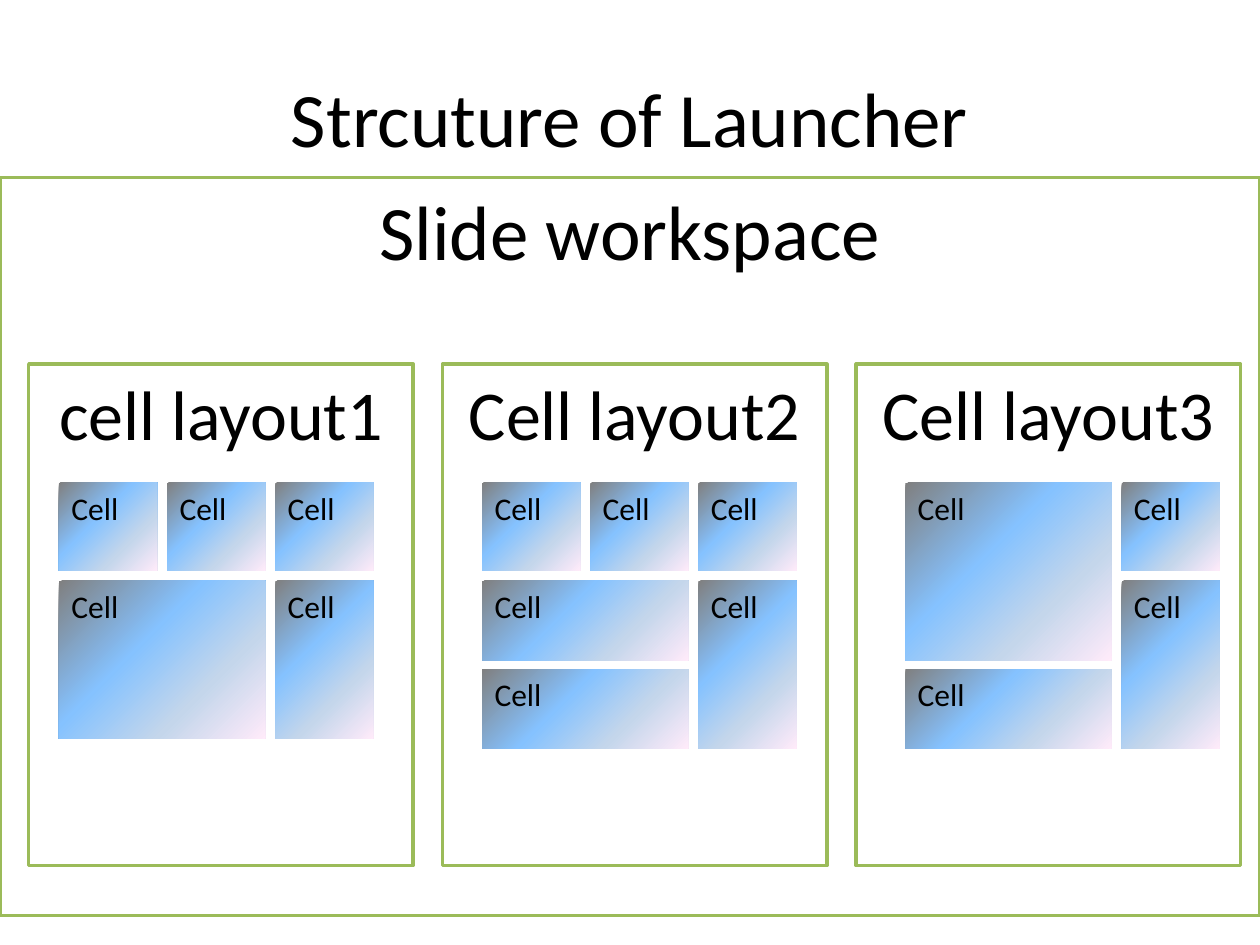
from typing import NamedTuple

from lxml import etree
from pptx import Presentation
from pptx import util as u
from pptx.dml.color import RGBColor
from pptx.enum import shapes, text
from pptx.oxml.ns import qn

BLACK, WHITE, GREEN = "000000", "FFFFFF", "9BBB59"
GRADIENT = ((0, "808080"), (40, "85C2FF"), (70, "C4D6EB"), (100, "FFEBFA"))


class Box(NamedTuple):
    """Position and size in centimetres."""
    left: float
    top: float
    width: float
    height: float


class Row(NamedTuple):
    top: float
    height: float


class Cell(NamedTuple):
    column: int
    row: int
    columns: int = 1
    rows: int = 1


class CellLayout(NamedTuple):
    name: str
    rows: tuple[Row, ...]
    cells: tuple[Cell, ...]


# Cell grid
CELL_WIDTH, COLUMN_STEP = 1.98, 2.18
TWO_ROWS = (Row(9.73, 1.78), Row(11.71, 3.18))
THREE_ROWS = (Row(9.73, 1.78), Row(11.71, 1.6), Row(13.49, 1.6))
TOP_CELLS = (Cell(0, 0), Cell(1, 0), Cell(2, 0))

CELL_LAYOUTS = (
    CellLayout("cell layout1", TWO_ROWS,
               TOP_CELLS + (Cell(0, 1, columns=2), Cell(2, 1))),
    CellLayout("Cell layout2", THREE_ROWS,
               TOP_CELLS + (Cell(0, 1, columns=2), Cell(2, 1, rows=2),
                            Cell(0, 2, columns=2))),
    CellLayout("Cell layout3", THREE_ROWS,
               (Cell(2, 0), Cell(0, 0, columns=2, rows=2),
                Cell(2, 1, rows=2), Cell(0, 2, columns=2))),
)


def color(value: str) -> RGBColor:
    return RGBColor.from_string(value)


def write(shape, content: str, *, size: float, align=text.PP_ALIGN.CENTER,
          anchor=text.MSO_ANCHOR.TOP) -> None:
    frame = shape.text_frame
    frame.word_wrap = True
    frame.vertical_anchor = anchor
    paragraph = frame.paragraphs[0]
    paragraph.alignment = align
    run = paragraph.add_run()
    run.text = content
    run.font.name = "Calibri"
    run.font.size = u.Pt(size)
    run.font.color.rgb = color(BLACK)


def add_rectangle(slide, box: Box):
    shape = slide.shapes.add_shape(shapes.MSO_SHAPE.RECTANGLE,
                                   *(u.Cm(length) for length in box))
    shape.shadow.inherit = False
    return shape


def add_frame(slide, box: Box, title: str, size: float) -> None:
    shape = add_rectangle(slide, box)
    shape.fill.solid()
    shape.fill.fore_color.rgb = color(WHITE)
    shape.line.color.rgb = color(GREEN)
    shape.line.width = u.Pt(2)
    write(shape, title, size=size)


def fill_gradient(shape) -> None:
    shape.fill.gradient()
    gradient = shape.element.spPr.find(qn("a:gradFill"))
    for child in list(gradient):
        gradient.remove(child)
    stops = etree.SubElement(gradient, qn("a:gsLst"))
    for percent, value in GRADIENT:
        stop = etree.SubElement(stops, qn("a:gs"), pos=str(percent * 1000))
        etree.SubElement(stop, qn("a:srgbClr"), val=value)
    etree.SubElement(gradient, qn("a:lin"), ang=str(45 * 60000), scaled="0")


def add_cell(slide, cell: Cell, rows: tuple[Row, ...], left: float) -> None:
    first, last = rows[cell.row], rows[cell.row + cell.rows - 1]
    box = Box(left + cell.column * COLUMN_STEP, first.top,
              CELL_WIDTH + (cell.columns - 1) * COLUMN_STEP,
              last.top + last.height - first.top)
    shape = add_rectangle(slide, box)
    fill_gradient(shape)
    shape.line.fill.background()
    write(shape, "Cell", size=18, align=text.PP_ALIGN.LEFT)


def main() -> None:
    presentation = Presentation()
    presentation.slide_width, presentation.slide_height = u.Cm(25.4), u.Cm(19.05)
    slide = presentation.slides.add_slide(presentation.slide_layouts[6])

    # Title
    title_box = Box(1.27, 0.76, 22.86, 3.18)
    title = slide.shapes.add_textbox(*(u.Cm(length) for length in title_box))
    write(title, "Strcuture of Launcher", size=44, anchor=text.MSO_ANCHOR.MIDDLE)

    # Workspace
    add_frame(slide, Box(0, 3.58, 25.4, 14.88), "Slide workspace", 44)

    # Cell layouts with their cells
    for index, layout in enumerate(CELL_LAYOUTS):
        add_frame(slide, Box(0.58 + 8.34 * index, 7.34, 7.75, 10.11),
                  layout.name, 40)
        for cell in layout.cells:
            add_cell(slide, cell, layout.rows, 1.19 + 8.53 * index)

    presentation.save("out.pptx")


if __name__ == "__main__":
    main()
